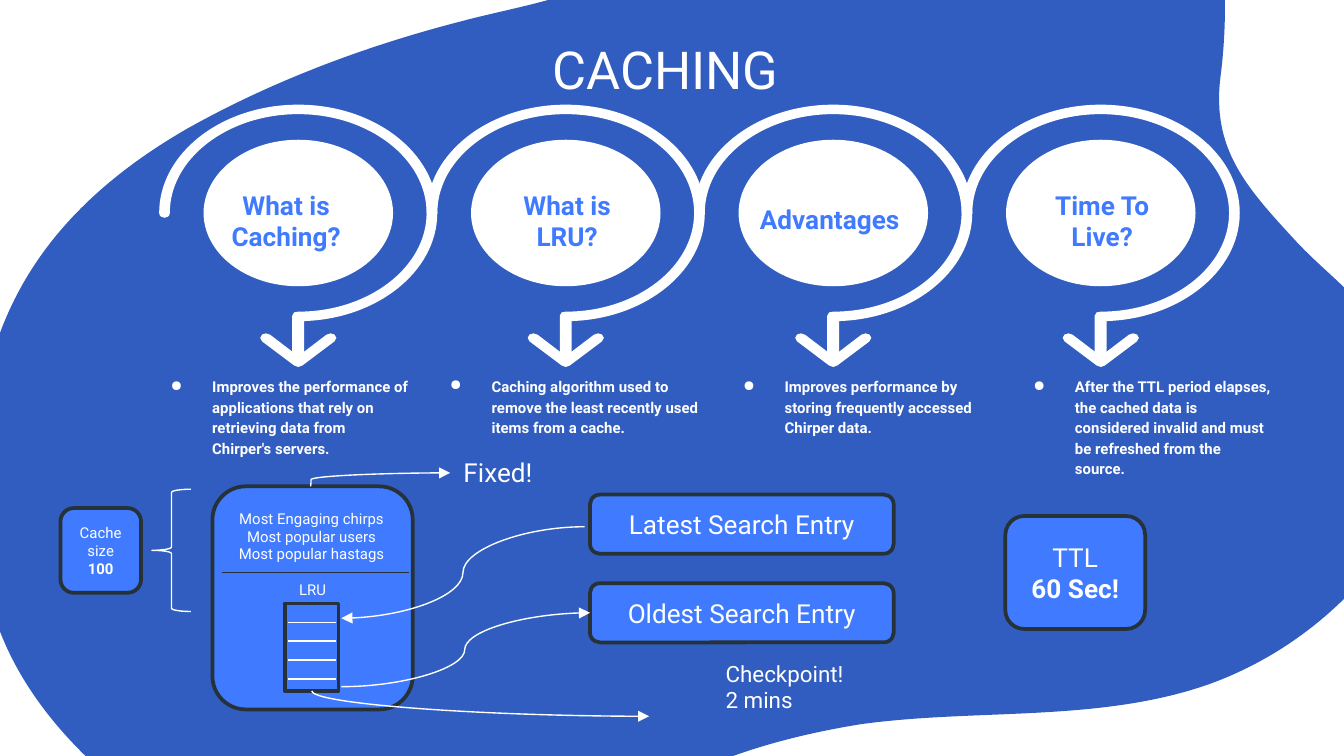
"""Build the CACHING overview slide."""
from typing import NamedTuple

from lxml import etree
from pptx import Presentation
from pptx import util as u
from pptx.dml.color import RGBColor
from pptx.enum import shapes, text
from pptx.oxml.ns import qn

Pt = u.Pt
MSO = shapes.MSO_SHAPE
COLORS = {"blob": "305DBF", "accent": "407BFF", "dark": "263238", "white": "FFFFFF"}
ALIGN = {"l": text.PP_ALIGN.LEFT, "c": text.PP_ALIGN.CENTER}
ANCHOR = {"t": text.MSO_ANCHOR.TOP, "m": text.MSO_ANCHOR.MIDDLE}
NEVER = 99
RING_CY = 114.1
RING_X, RING_STEP = 159.8, 143.3
BLOB_START = (584.6, -139.7)
BLOB_CURVES = [
    ((563, -149), (534.2, -151.9), (498.2, -145.4)),
    ((440.6, -136.1), (396.7, -89.3), (365, -43.9)),
    ((338.4, -4.3), (287.3, 0.7), (247, 11.5)),
    ((196.6, 24.5), (146.2, 43.2), (100.1, 69.1)),
    ((6.5, 123.1), (-19.4, 195.1), (-11.5, 285.8)),
    ((-8.6, 313.2), (-3.6, 356.4), (45.4, 404.6)),
    ((64.1, 423.4), (84.2, 437), (106.6, 445.7)),
    ((164.2, 469.4), (232.6, 465.1), (310.3, 439.2)),
    ((334.8, 430.6), (357.8, 418.3), (382.3, 409)),
    ((407.5, 398.9), (434.2, 392.4), (460.8, 388.1)),
    ((522.7, 379.4), (589, 387.4), (648, 366.5)),
    ((679.7, 355), (707.8, 335.5), (730.1, 310.3)),
    ((757.4, 278.6), (765.4, 236.2), (750.2, 197.3)),
    ((735.1, 161.3), (713.5, 150.5), (692.6, 127.4)),
    ((666.7, 99.4), (649.4, 79.2), (653.8, 41.8)),
    ((660.2, -6.5), (659.5, -108.7), BLOB_START),
]
ARROW_HALF = [(0, 190.8), (15.1, 179.3), (17.3, 178.6), (19.4, 179.2),
              (20.4, 181), (19.4, 182.9), (2.2, 195.8), (0, 196.6)]


class Box(NamedTuple):
    x: float
    y: float
    w: float
    h: float


class Topic(NamedTuple):
    label: list
    label_box: Box
    align: str
    note: str
    note_box: Box


class Card(NamedTuple):
    box: Box
    lines: list
    size: float
    bold_from: int = NEVER
    bottom: float = 3.6


class Curve(NamedTuple):
    start: tuple
    end: tuple
    bend: int = 50000
    kind: str = "curvedConnector3"
    rot: int = 0


TOPICS = [
    Topic(["What is", "Caching?"], Box(113, 94.3, 90.7, 37.4), "c",
          "Improves the performance of applications that rely on retrieving data from Chirper's servers.",
          Box(70.6, 193.7, 155.5, 94.3)),
    Topic(["What is LRU?"], Box(258.5, 94.3, 90.7, 37.4), "c",
          "Caching algorithm used to remove the least recently used items from a cache.",
          Box(220.3, 193.7, 167.8, 57.6)),
    Topic(["Advantages"], Box(400, 101.5, 100.8, 24.5), "l",
          "Improves performance by storing frequently accessed Chirper data.",
          Box(377.3, 193.7, 155.5, 121)),
    Topic(["Time To Live?"], Box(545.1, 94.3, 90.7, 37.4), "c",
          "After the TTL period elapses, the cached data is considered invalid and must be "
          "refreshed from the source.",
          Box(532.8, 193.7, 155.5, 87.1)),
]
STORE = Card(Box(113.8, 260.6, 107.3, 119.5), ["LRU"], 8, bottom=13)
CARDS = [
    Card(Box(316.1, 265, 162.7, 31.7), ["Latest Search Entry"], 14),
    Card(Box(316.1, 312.5, 162.7, 31.7), ["Oldest Search Entry"], 14),
    Card(Box(32.4, 272.2, 43.2, 45.4), ["Cache size", "100"], 8, 1),
    Card(Box(538.6, 276.5, 74.9, 60.5), ["TTL", "60 Sec!"], 14, 1),
]
CURVES = [
    Curve((166.3, 260.6), (241.2, 253.4), 500),
    Curve((182.9, 367.9), (316.1, 328.3), 49600),
    Curve((313.2, 282.2), (182.9, 331.2)),
    Curve((264.2, 286.6), (250.6, 467.3), kind="curvedConnector2", rot=270),
]


def rgb(name: str) -> RGBColor:
    """Return a named colour."""
    return RGBColor.from_string(COLORS[name])


def write(tf, lines: list, size=8, color="white", align="c", anchor="t", bold_from=NEVER,
          inset=3.6, bottom=None, bullet=False) -> None:
    """Fill a text frame with formatted paragraphs."""
    tf.word_wrap = True
    tf.vertical_anchor = ANCHOR[anchor]
    tf.margin_left = tf.margin_right = Pt(7.2)
    tf.margin_top = Pt(inset)
    tf.margin_bottom = Pt(inset if bottom is None else bottom)
    for i, line in enumerate(lines):
        p = tf.add_paragraph() if i else tf.paragraphs[0]
        p.alignment = ALIGN[align]
        r = p.add_run()
        r.text = line
        r.font.name, r.font.size = "Roboto", Pt(size)
        r.font.bold = i >= bold_from
        r.font.color.rgb = rgb(color)
        if bullet:
            p.line_spacing = 1.15
            props = p._p.get_or_add_pPr()
            props.set("marL", str(Pt(36)))
            props.set("indent", str(Pt(-22.3)))
            clr = etree.SubElement(props, qn("a:buClr"))
            etree.SubElement(clr, qn("a:srgbClr"), val=COLORS[color])
            etree.SubElement(props, qn("a:buChar"), char="●")


def add_text(s, box: Box, lines: list, **fmt):
    """Add a text box and return it."""
    sp = s.shapes.add_textbox(*map(Pt, box))
    write(sp.text_frame, lines, **fmt)
    return sp


def paint(sp, fill=None, line=None, width=2.0) -> None:
    """Set fill and outline of a shape without shadow."""
    sp.shadow.inherit = False
    for part, color in ((sp.fill, fill), (sp.line.fill, line)):
        if color:
            part.solid()
            part.fore_color.rgb = rgb(color)
        else:
            part.background()
    if line:
        sp.line.width = Pt(width)


def add_shape(s, kind, box: Box, **style):
    """Add a painted preset shape."""
    sp = s.shapes.add_shape(kind, *map(Pt, box))
    paint(sp, **style)
    return sp


def add_outline(s, start: tuple, segments: list, fill: str) -> None:
    """Add a closed freeform; one-point segments are lines, three-point ones cubic curves."""
    fb = s.shapes.build_freeform(*map(Pt, start))
    fb.add_line_segments([(Pt(x), Pt(y)) for seg in segments for x, y in seg], close=True)
    sp = fb.convert_to_shape()
    steps = iter(list(sp._element.iter(qn("a:lnTo"))))
    for seg in segments:
        first, *rest = [next(steps) for _ in seg]
        if rest:
            cubic = etree.Element(qn("a:cubicBezTo"))
            first.addprevious(cubic)
            for step in (first, *rest):
                cubic.append(step[0])
                step.getparent().remove(step)
    paint(sp, fill=fill)


def add_card(s, card: Card) -> None:
    """Add a rounded, outlined card with text."""
    sp = add_shape(s, MSO.ROUNDED_RECTANGLE, card.box, fill="accent", line="dark")
    write(sp.text_frame, card.lines, size=card.size, anchor="m",
          bold_from=card.bold_from, bottom=card.bottom)


def add_line(s, start: tuple, end: tuple, color="white", kind=shapes.MSO_CONNECTOR.STRAIGHT):
    """Add a thin connector without shadow."""
    c = s.shapes.add_connector(kind, *map(Pt, start + end))
    c.line.color.rgb = rgb(color)
    c.line.width = Pt(0.75)
    etree.SubElement(c._element.spPr, qn("a:effectLst"))
    return c


def add_curve(s, curve: Curve) -> None:
    """Add a curved arrow."""
    c = add_line(s, curve.start, curve.end, kind=shapes.MSO_CONNECTOR.CURVE)
    etree.SubElement(c.line._get_or_add_ln(), qn("a:tailEnd"), type="triangle")
    props = c._element.spPr
    geom = props.find(qn("a:prstGeom"))
    geom.set("prst", curve.kind)
    if curve.rot:
        props.find(qn("a:xfrm")).set("rot", str(curve.rot * 60000))
    else:
        etree.SubElement(geom.find(qn("a:avLst")), qn("a:gd"), name="adj1", fmla=f"val {curve.bend}")


def arc(cx: float, rx: float, ry: float) -> list:
    """Return Bezier points from an ellipse's left end over the top to its bottom."""
    k = 0.55
    unit = [(-1, 0), (-1, -k), (-k, -1), (0, -1), (k, -1), (1, -k), (1, 0), (1, k), (k, 1), (0, 1)]
    return [(cx + x * rx, RING_CY + y * ry) for x, y in unit]


def cubics(points: list) -> list:
    """Group the points after the first into cubic segments."""
    return [points[i:i + 3] for i in range(1, len(points), 3)]


def add_ring(s, cx: float) -> None:
    """Add a white disc with its open ring, stem and arrowhead."""
    add_shape(s, MSO.OVAL, Box(cx - 50.75, RING_CY - 39.25, 101.5, 78.5), fill="white")
    outer, inner = arc(cx, 74.5, 58), arc(cx, 68.8, 52.9)[::-1]
    stem = [(3.2, 172.1), (3.2, 190.8), (-3.2, 190.8), (-3.2, 169.2), (-2.2, 167.4), (0, 167)]
    cap = [(cx - 68.8, 117.6), (cx - 74.5, 117.6), outer[0]]
    add_outline(s, outer[0], [*cubics(outer), *([(cx + x, y)] for x, y in stem),
                              *cubics(inner), cap], "white")
    arrow = ARROW_HALF + [(-x, y) for x, y in ARROW_HALF[-2:0:-1]]
    head = [(cx + x, y) for x, y in arrow]
    add_outline(s, head[0], [[pt] for pt in head[1:]], "white")


def main() -> None:
    """Build and save the slide."""
    prs = Presentation()
    prs.slide_width, prs.slide_height = Pt(720), Pt(405)
    s = prs.slides.add_slide(prs.slide_layouts[6])
    add_outline(s, BLOB_START, BLOB_CURVES, "blob")
    add_text(s, Box(20.9, 13, 671, 45.4), ["CACHING"], size=28, inset=7.2)
    for i, topic in enumerate(TOPICS):
        add_ring(s, RING_X + i * RING_STEP)
        label = add_text(s, topic.label_box, topic.label, size=14, color="accent",
                         align=topic.align, bold_from=0, inset=7.2)
        if len(topic.label) > 1:
            label.text_frame.paragraphs[0]._p.get_or_add_pPr().set("marR", str(Pt(10)))
        add_text(s, topic.note_box, [topic.note], align="l", bold_from=0, inset=7.2, bullet=True)
    add_card(s, STORE)
    add_line(s, (118.8, 306.7), (218.9, 306.7), "dark")
    add_text(s, Box(113, 269.3, 108, 36),
             ["Most Engaging chirps", "Most popular users", "Most popular hastags"])
    add_text(s, Box(241.2, 241.2, 56.9, 24.5), ["Fixed!"], size=14, align="l")
    add_shape(s, MSO.RECTANGLE, Box(152.6, 323.3, 28.8, 46.8), fill="accent", line="dark")
    for i in range(4):
        y = 333.4 + i * 10.1
        add_line(s, (154.1, y), (180, y))
    for card in CARDS:
        add_card(s, card)
    add_shape(s, MSO.LEFT_BRACE, Box(81.4, 262.1, 20.9, 65.5), line="white", width=0.75)
    for curve in CURVES:
        add_curve(s, curve)
    add_text(s, Box(381.6, 349.9, 97.2, 36), ["Checkpoint!", "2 mins"], size=12, align="l")
    prs.save("out.pptx")


if __name__ == "__main__":
    main()
